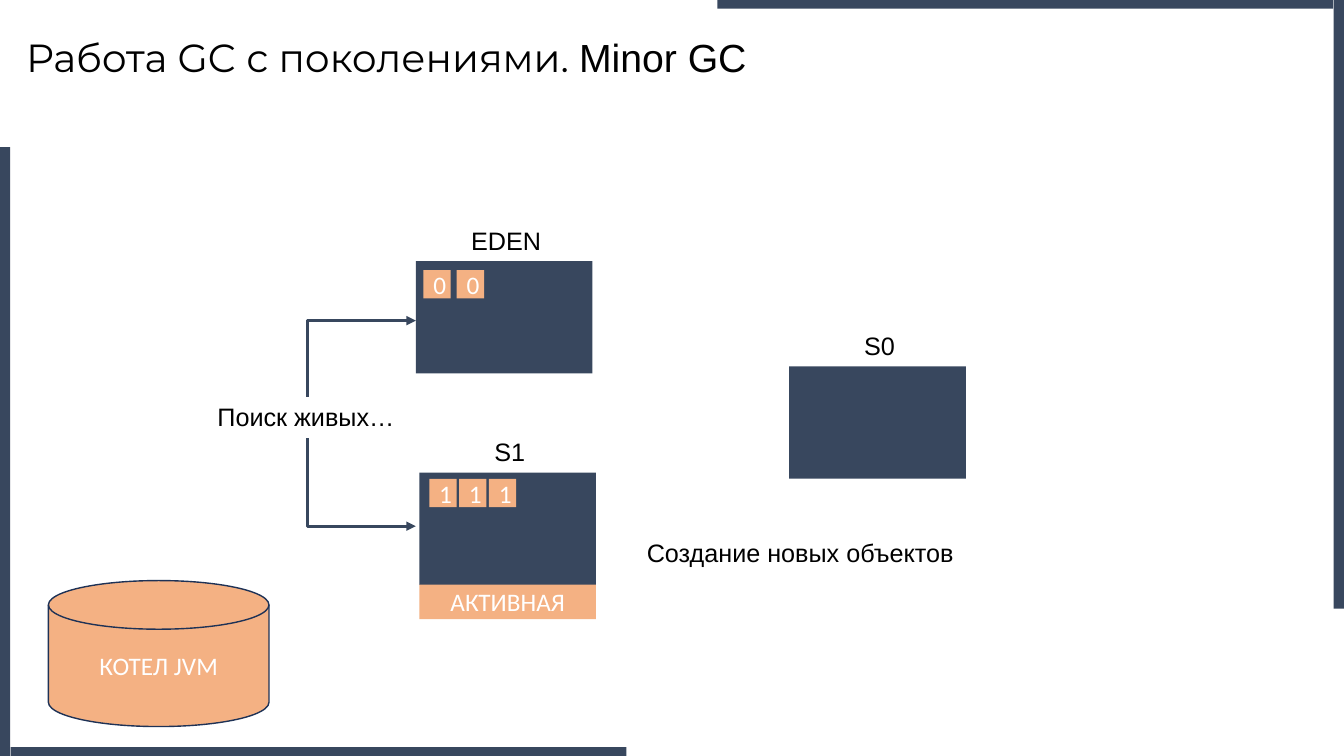
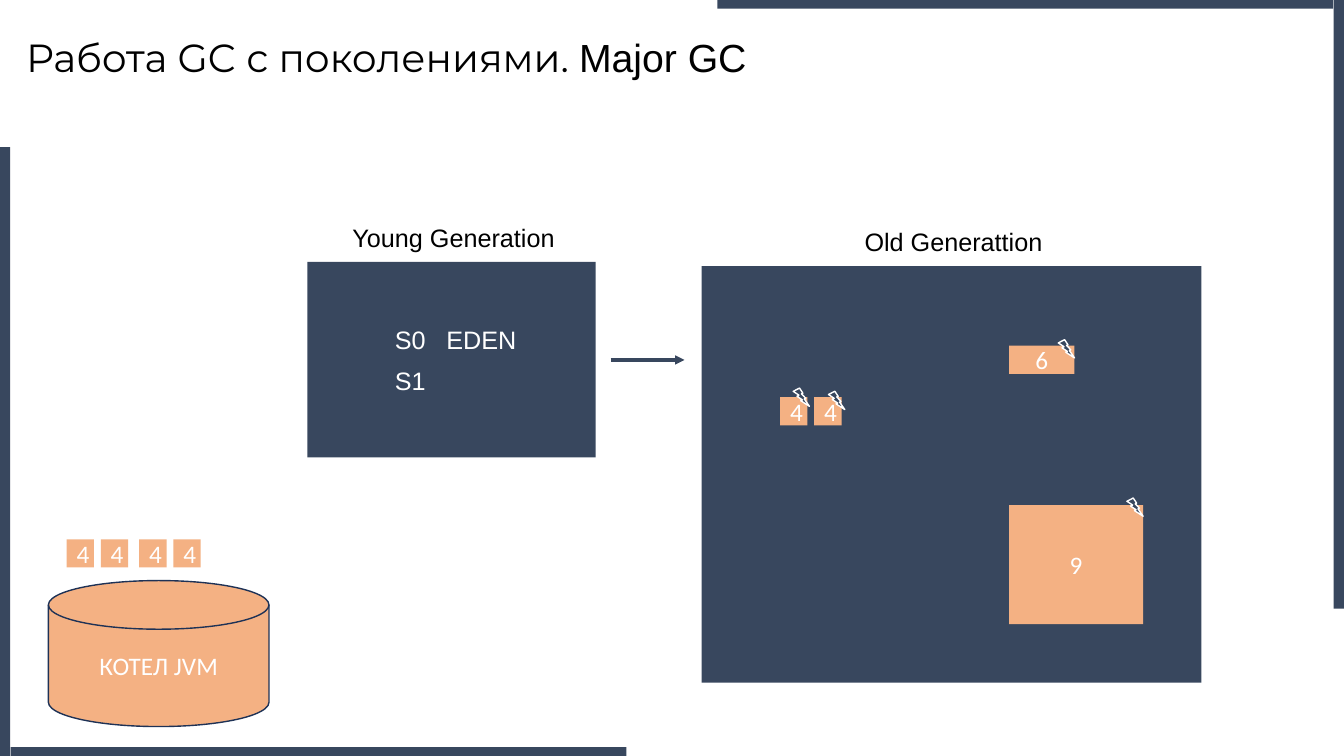
from dataclasses import dataclass

from lxml import etree
from pptx import Presentation
from pptx.dml.color import RGBColor
from pptx.enum import shapes as es, text as et
from pptx.oxml import ns
from pptx.util import Cm, Pt


@dataclass(frozen=True)
class Theme:
    navy: RGBColor = RGBColor(0x38, 0x47, 0x5E)
    peach: RGBColor = RGBColor(0xF4, 0xB1, 0x83)
    edge: RGBColor = RGBColor(0x1E, 0x32, 0x56)
    black: RGBColor = RGBColor(0, 0, 0)
    white: RGBColor = RGBColor(255, 255, 255)
    head: str = "Montserrat"
    body: str = "Arial"
    mark: str = "Calibri"
    big: Pt = Pt(28)
    base: Pt = Pt(18)
    thin: Pt = Pt(1)
    bold: Pt = Pt(2.25)


T = Theme()
WIDE, HIGH = 33.87, 19.05
CUBE_W, CUBE_H = 0.69, 0.71
LINE_H = 1.02
KIND = es.MSO_SHAPE


# Basic elements
def style(par, name, color, size=T.base):
    par.font.size = size
    par.font.color.rgb = color
    if name:
        par.font.name = name


def block(slide, x, y, w, h, fill, word="", kind=KIND.RECTANGLE, edge=None):
    shape = slide.shapes.add_shape(kind, Cm(x), Cm(y), Cm(w), Cm(h))
    shape.shadow.inherit = False
    shape.fill.solid()
    shape.fill.fore_color.rgb = fill
    if edge is None:
        shape.line.fill.background()
    else:
        shape.line.color.rgb = edge
        shape.line.width = T.thin
    if word:
        frame = shape.text_frame
        frame.vertical_anchor = et.MSO_ANCHOR.MIDDLE
        par = frame.paragraphs[0]
        par.alignment = et.PP_ALIGN.CENTER
        style(par, T.mark, T.white)
        par.add_run().text = word


def note(slide, x, y, w, word="", color=T.black, mid=False, wrap=True, h=LINE_H):
    frame = slide.shapes.add_textbox(Cm(x), Cm(y), Cm(w), Cm(h)).text_frame
    frame.word_wrap = wrap
    frame.auto_size = et.MSO_AUTO_SIZE.SHAPE_TO_FIT_TEXT
    par = frame.paragraphs[0]
    if mid:
        par.alignment = et.PP_ALIGN.CENTER
    if word:
        style(par, T.body, color)
        par.add_run().text = word
    return par


def arrow(slide, kind, start, end, tip):
    link = slide.shapes.add_connector(kind, *(Cm(v) for v in start + end))
    link.line.color.rgb = T.navy
    link.line.width = T.bold
    props = link.line._get_or_add_ln()
    etree.SubElement(props, ns.qn(tip), type="triangle")
    etree.SubElement(link._element.spPr, ns.qn("a:effectLst"))
    return link


def elbow(slide, start, tip):
    # One bend: level at the arrowhead, upright at the start
    link = arrow(slide, es.MSO_CONNECTOR.ELBOW, tip, start, "a:headEnd")
    link._element.spPr.find(ns.qn("a:prstGeom")).set("prst", "bentConnector2")


# Memory parts
def region(slide, name, x, y, w, h, gap=1.03):
    block(slide, x, y, w, h, T.navy)
    note(slide, x + 0.05, y - gap, w, name, mid=True)


def cubes(slide, x, y, words, step=0.86):
    for i, word in enumerate(words):
        block(slide, x + i * step, y, CUBE_W, CUBE_H, T.peach, word)


def bolt(slide, x, y):
    block(slide, x, y, 0.41, 0.46, T.navy, kind=KIND.LIGHTNING_BOLT, edge=T.white)


# Shared slide: edge bands, title and heap
def base(deck, topic):
    slide = deck.slides.add_slide(deck.slide_layouts[6])
    thick, long = 0.41, 15.52
    for x, y, w, h in ((-0.15, 3.71, thick, long), (0.27, 18.83, long, thick)):
        block(slide, x, y, w, h, T.navy)
        block(slide, WIDE - x - w, HIGH - y - h, w, h, T.navy)
    par = note(slide, 0.41, 0.71, 20.98, h=1.45)
    style(par, None, T.black, T.big)
    for word, name in (("Работа GC с поколениями. ", T.head), (topic, T.body)):
        run = par.add_run()
        run.text = word
        run.font.name = name
    block(slide, 1.22, 14.63, 5.56, 3.68, T.peach, "КОТЕЛ JVM",
          KIND.FLOWCHART_MAGNETIC_DISK, T.edge)
    return slide


def minor(deck):
    slide = base(deck, "Minor GC")
    w, h = 4.45, 2.83
    for name, x, y in (("EDEN", 10.48, 6.58), ("S1", 10.57, 11.91), ("S0", 19.89, 9.23)):
        region(slide, name, x, y, w, h)
    cubes(slide, 10.67, 6.81, "00", 0.84)
    cubes(slide, 10.82, 12.07, "111", 0.75)
    block(slide, 10.57, 14.73, w, 0.87, T.peach, "АКТИВНАЯ")
    # Search for live objects
    note(slide, 5.23, 10, 5.03, "Поиск живых…", wrap=False)
    elbow(slide, (7.75, 10), (10.48, 8.08))
    elbow(slide, (7.75, 11.04), (10.48, 13.26))
    note(slide, 16.05, 13.41, 17.09, "Создание новых объектов")


def major(deck):
    slide = base(deck, "Major GC")
    # Young generation
    region(slide, "Young Generation", 7.75, 6.6, 7.26, 4.93, 1.12)
    for word, x, y, w in (("S0", 9.7, 8.05, 1.3), ("S1", 9.7, 9.09, 1.3),
                          ("EDEN", 11, 8.05, 2.36)):
        note(slide, x, y, w, word, T.white)
    arrow(slide, es.MSO_CONNECTOR.STRAIGHT, (15.39, 9.07), (17.25, 9.07), "a:tailEnd")
    # Old generation
    region(slide, "Old Generattion", 17.68, 6.71, 12.6, 10.49, 1.12)
    cubes(slide, 19.66, 10.01, "44")
    block(slide, 25.43, 8.71, 1.65, CUBE_H, T.peach, "6")
    block(slide, 25.43, 12.73, 3.38, 3, T.peach, "9")
    for x, y in ((19.99, 9.78), (20.88, 9.86), (26.67, 8.56), (28.4, 12.55)):
        bolt(slide, x, y)
    # Objects above the heap
    for x in (1.68, 3.51):
        cubes(slide, x, 13.59, "44")


def main():
    deck = Presentation()
    deck.slide_width, deck.slide_height = Cm(WIDE), Cm(HIGH)
    minor(deck)
    major(deck)
    deck.save("out.pptx")


if __name__ == "__main__":
    main()
